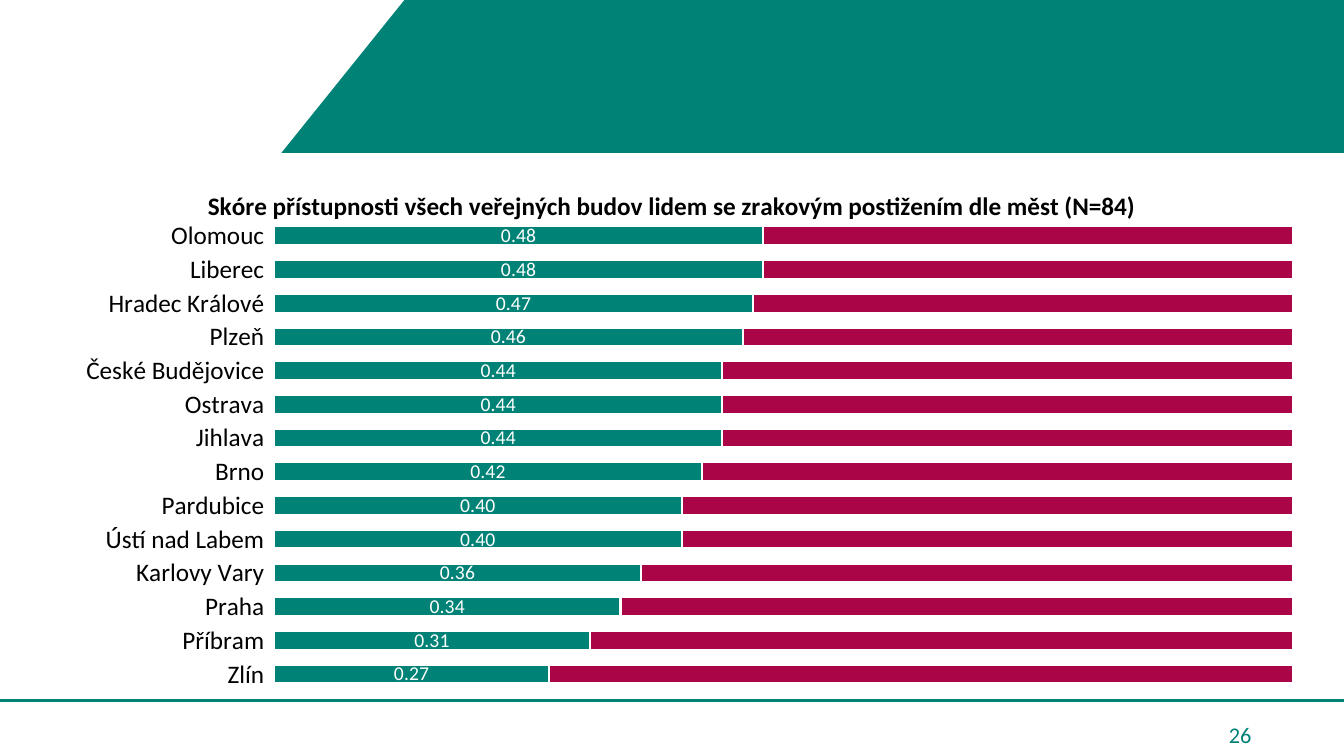
from dataclasses import dataclass

from lxml.etree import SubElement
from pptx import Presentation
from pptx.chart.data import CategoryChartData
from pptx.dml.color import RGBColor
from pptx.enum.chart import XL_CHART_TYPE, XL_LABEL_POSITION, XL_TICK_MARK
from pptx.enum.shapes import MSO_CONNECTOR, MSO_SHAPE
from pptx.enum.text import MSO_ANCHOR, PP_ALIGN
from pptx.oxml import parse_xml
from pptx.oxml.ns import nsdecls, qn
from pptx.util import Inches, Pt

FONT = "Calibri"
COLORS = {"teal": "008276", "crimson": "AA0546", "white": "FFFFFF", "black": "000000"}
TITLE = "Skóre přístupnosti všech veřejných budov lidem se zrakovým postižením dle měst (N=84)"
SCORES = {
    "Olomouc": 0.48, "Liberec": 0.48, "Hradec Králové": 0.47, "Plzeň": 0.46,
    "České Budějovice": 0.44, "Ostrava": 0.44, "Jihlava": 0.44, "Brno": 0.42,
    "Pardubice": 0.40, "Ústí nad Labem": 0.40, "Karlovy Vary": 0.36,
    "Praha": 0.34, "Příbram": 0.31, "Zlín": 0.27,
}
PLOT_SHARES = {"x": 0.204, "y": 0.097, "w": 0.758, "h": 0.887}


@dataclass
class Box:
    left: int
    top: int
    width: int
    height: int

    def inner(self, left, top, width, height):
        """Return the inner box given in percent of this one."""
        return Box(
            int(self.left + self.width * left / 100),
            int(self.top + self.height * top / 100),
            int(self.width * width / 100),
            int(self.height * height / 100),
        )

    @property
    def place(self):
        return self.left, self.top, self.width, self.height


def color(name):
    return RGBColor.from_string(COLORS[name])


def style_font(font, size, name, bold=False):
    font.name = FONT
    font.size = Pt(size)
    font.bold = bold
    font.color.rgb = color(name)


def paint(target, name, line_name, line_width):
    """Give a shape or a chart series its fill and outline."""
    target.fill.solid()
    target.fill.fore_color.rgb = color(name)
    target.line.color.rgb = color(line_name)
    target.line.width = Pt(line_width)


def add_block(shapes, kind, box, name):
    block = shapes.add_shape(kind, *box.place)
    block.shadow.inherit = False
    paint(block, name, name, 1)
    return block


def add_header(page, box):
    # Teal band with a patch of the same colour on the right
    add_block(page.shapes, MSO_SHAPE.RECTANGLE, box.inner(0, 0, 100, 98.7), "teal")
    add_block(page.shapes, MSO_SHAPE.RECTANGLE, box.inner(65.04, 15, 33.08, 73.2), "teal")

    # White corner with a slanted edge
    corner = page.shapes.add_group_shape()
    panel = add_block(corner.shapes, MSO_SHAPE.TRAPEZOID, box.inner(0, 0, 20.78, 100), "white")
    panel.adjustments[0] = 0
    slant = add_block(corner.shapes, MSO_SHAPE.RIGHT_TRIANGLE,
                      box.inner(20.78, 0, 9.23, 100), "white")
    slant.element.spPr.find(qn("a:xfrm")).set("flipV", "1")


def style_axes(chart):
    cities, scores = chart.category_axis, chart.value_axis
    cities.reverse_order = True
    style_font(cities.tick_labels.font, 18, "black")
    scores.minimum_scale, scores.maximum_scale, scores.major_unit = 0, 1, 20
    scores.tick_labels.number_format = "0.00"
    scores.tick_labels.number_format_is_linked = False
    style_font(scores.tick_labels.font, 1, "white")
    for axis in (cities, scores):
        axis.has_major_gridlines = False
        axis.major_tick_mark = XL_TICK_MARK.OUTSIDE
        axis.format.line.fill.background()


def set_plot_area(chart):
    """Fix the inner plot area inside the chart frame."""
    area = chart.element.find(".//" + qn("c:plotArea"))
    for old in area.findall(qn("c:layout")):
        area.remove(old)
    layout = parse_xml(f"<c:layout {nsdecls('c')}><c:manualLayout/></c:layout>")
    settings = {"layoutTarget": "inner", "xMode": "edge", "yMode": "edge", **PLOT_SHARES}
    for tag, value in settings.items():
        SubElement(layout[0], qn(f"c:{tag}")).set("val", str(value))
    area.insert(0, layout)


def add_score_chart(page, box):
    data = CategoryChartData(number_format="0.00")
    data.categories = list(SCORES)
    data.add_series("Series 1", list(SCORES.values()))
    data.add_series("Series 2", [round(1 - score, 2) for score in SCORES.values()])
    chart = page.shapes.add_chart(XL_CHART_TYPE.BAR_STACKED, *box.place, data).chart
    chart.has_legend = False
    style_font(chart.font, 18, "black")

    # Title
    para = chart.chart_title.text_frame.paragraphs[0]
    para.text = TITLE
    style_font(para.font, 18, "black", bold=True)
    chart.chart_title.include_in_layout = False

    # Bars
    plot = chart.plots[0]
    plot.gap_width, plot.overlap, plot.vary_by_categories = 80, 100, False
    for series, name in zip(plot.series, ("teal", "crimson")):
        paint(series.format, name, "white", 1.5)

    # Score labels
    labels = plot.series[0].data_labels
    labels.show_value = True
    labels.number_format = "#,##0.00"
    labels.number_format_is_linked = False
    labels.position = XL_LABEL_POSITION.CENTER
    style_font(labels.font, 14, "white")

    style_axes(chart)
    set_plot_area(chart)


def add_footer(page, box):
    # Rule along the top edge
    rule = page.shapes.add_connector(MSO_CONNECTOR.STRAIGHT, box.left, box.top,
                                     box.left + box.width, box.top)
    rule.line.color.rgb = color("teal")
    rule.line.width = Pt(2.25)
    SubElement(rule.element.spPr, qn("a:effectLst"))

    # Page number
    frame = page.shapes.add_textbox(*box.inner(70.89, 25.5, 22.96, 72.7).place).text_frame
    frame.word_wrap = True
    frame.vertical_anchor = MSO_ANCHOR.MIDDLE
    para = frame.paragraphs[0]
    para.text = "26"
    para.alignment = PP_ALIGN.RIGHT
    style_font(para.font, 16, "teal")


def main():
    deck = Presentation()
    deck.slide_width, deck.slide_height = Inches(13.33), Inches(7.5)
    page = deck.slides.add_slide(deck.slide_layouts[6])
    whole = Box(0, 0, deck.slide_width, deck.slide_height)
    add_footer(page, whole.inner(0, 92.67, 100, 7.33))
    add_header(page, whole.inner(0, 0, 100, 20.4))
    add_score_chart(page, whole.inner(0, 22.13, 100, 70.4))
    deck.save("out.pptx")


if __name__ == "__main__":
    main()
